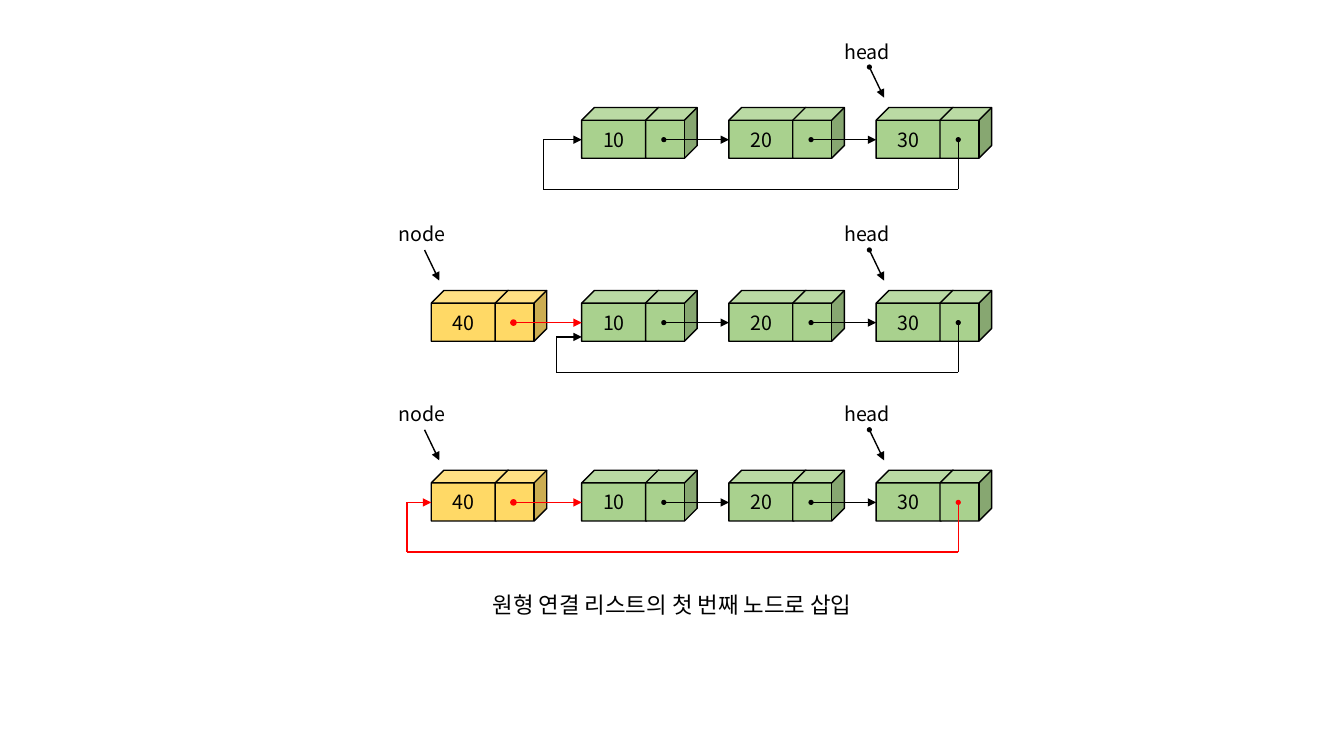
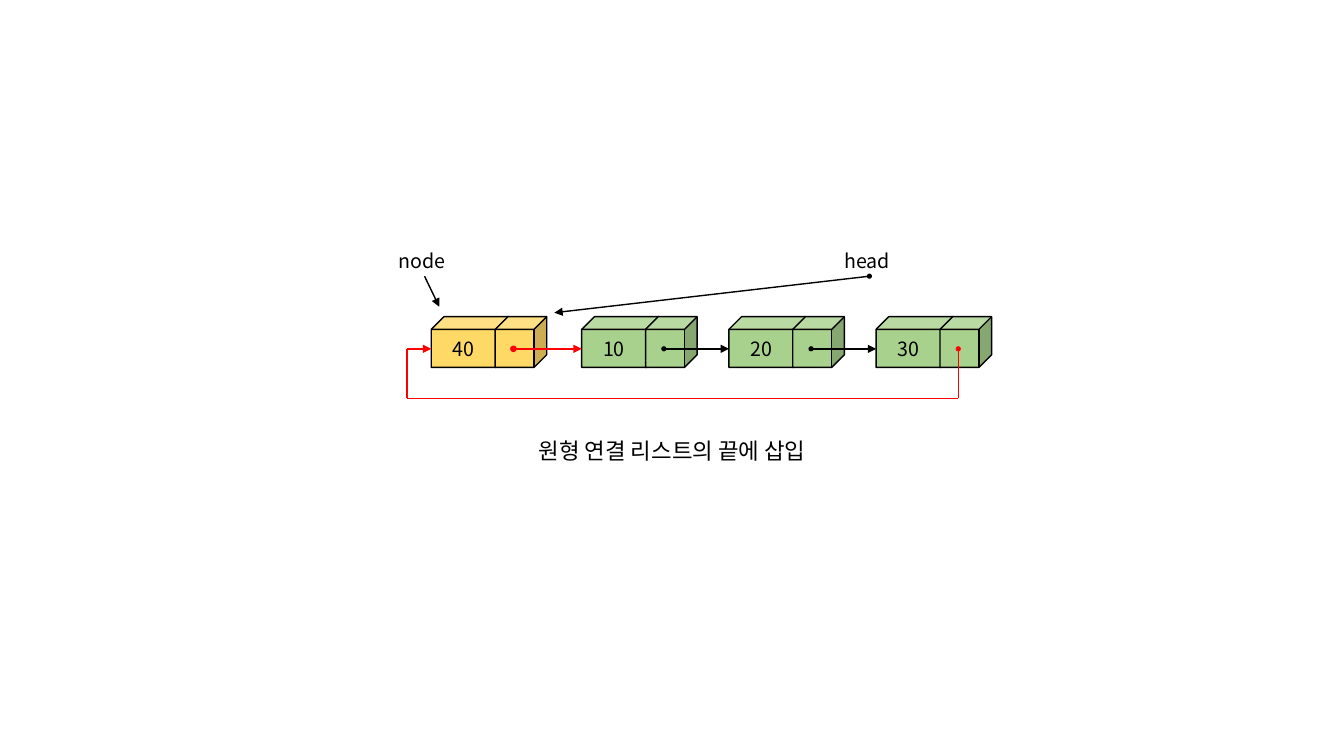
from itertools import pairwise

from lxml.etree import SubElement
from pptx import Presentation
from pptx.dml.color import RGBColor
from pptx.enum.shapes import MSO_CONNECTOR as Link, MSO_SHAPE as Preset
from pptx.enum.text import MSO_ANCHOR as Anchor, MSO_AUTO_SIZE as Fit, PP_ALIGN as Align
from pptx.oxml.ns import qn
from pptx.util import Cm, Pt

BLACK, RED, GREEN, YELLOW = "000000", "FF0000", "A9D18E", "FFD966"
NODE_X = {"40": 10.87, "10": 14.66, "20": 18.37, "30": 22.08}
LAST = "30"
DATA_WIDTH, NEXT_OFFSET, NEXT_WIDTH, NODE_HEIGHT = 1.95, 1.61, 1.3, 1.28
DOT_SIZE, DOT_X, DOT_Y = 0.13, 2.07, 0.81
LOOP_DEPTH, CAPTION_DROP = 2.06, 2.91


def color(hex_code):
    return RGBColor.from_string(hex_code)


def apply(target, values):
    for name, value in values.items():
        setattr(target, name, value)


class ListDiagram:
    font = "Noto Sans CJK KR"
    line_width = Pt(1)
    label_frame = {"word_wrap": True, "auto_size": Fit.SHAPE_TO_FIT_TEXT}
    cube_frame = {"word_wrap": True, "vertical_anchor": Anchor.MIDDLE}

    def __init__(self, deck):
        self.deck = deck
        self.shapes = None

    def new_slide(self):
        self.shapes = self.deck.slides.add_slide(self.deck.slide_layouts[6]).shapes

    def fill_text(self, frame, wording, size, frame_format):
        apply(frame, frame_format)
        paragraph = frame.paragraphs[0]
        paragraph.alignment = Align.CENTER
        run = paragraph.add_run()
        run.text = wording
        apply(run.font, {"name": self.font, "size": Pt(size)})
        run.font.color.rgb = color(BLACK)
        SubElement(run._r.get_or_add_rPr(), qn("a:ea"), typeface=self.font)

    def text(self, x, y, width, height, wording, size):
        box = self.shapes.add_textbox(Cm(x), Cm(y), Cm(width), Cm(height))
        self.fill_text(box.text_frame, wording, size, self.label_frame)

    def preset(self, kind, x, y, width, height, fill, outline=None):
        part = self.shapes.add_shape(kind, Cm(x), Cm(y), Cm(width), Cm(height))
        part.shadow.inherit = False
        part.fill.solid()
        part.fill.fore_color.rgb = color(fill)
        if outline:
            part.line.color.rgb = color(outline)
            part.line.width = self.line_width
        else:
            part.line.fill.background()
        return part

    def dot(self, x, y, fill, outline=None):
        half = DOT_SIZE / 2
        self.preset(Preset.OVAL, x - half, y - half, DOT_SIZE, DOT_SIZE, fill, outline)

    def arrow(self, points, ink=BLACK):
        for start, end in pairwise(points):
            segment = self.shapes.add_connector(
                Link.STRAIGHT, *(Cm(length) for length in (*start, *end)))
            segment.line.color.rgb = color(ink)
            segment.line.width = self.line_width
            SubElement(segment._element.spPr, qn("a:effectLst"))
        outline = segment._element.spPr.find(qn("a:ln"))
        SubElement(outline, qn("a:tailEnd"), type="triangle")

    def node(self, value, top, fill, ink, outline=None):
        x = NODE_X[value]
        data = self.preset(Preset.CUBE, x, top, DATA_WIDTH, NODE_HEIGHT, fill, BLACK)
        self.fill_text(data.text_frame, value, 14, self.cube_frame)
        self.preset(Preset.CUBE, x + NEXT_OFFSET, top, NEXT_WIDTH, NODE_HEIGHT, fill, BLACK)
        self.dot(x + DOT_X, top + DOT_Y, ink, outline)

    def pointer(self, name, value, top, target=None, dotted=False):
        x = NODE_X[value]
        start = (x - 0.17, top - 1.02)
        if dotted:
            self.dot(*start, BLACK)
        self.arrow([start, target or (x + 0.2, top - 0.25)])
        self.text(x - 1.78, top - 1.84, 3.1, 0.86, name, 14)

    def circular_list(self, top, loop_x, loop_to, entry=DOT_Y, loop_ink=BLACK,
                      inserted=True, head_target=None):
        values = list(NODE_X)[0 if inserted else 1:]
        for value in values:
            if value == "40":
                self.node(value, top, YELLOW, RED, RED)
            else:
                self.node(value, top, GREEN, loop_ink if value == LAST else BLACK)
        for value, following in pairwise(values):
            self.arrow([(NODE_X[value] + DOT_X, top + DOT_Y),
                        (NODE_X[following], top + DOT_Y)],
                       RED if value == "40" else BLACK)
        loop_start = NODE_X[LAST] + DOT_X
        self.arrow([(loop_start, top + DOT_Y), (loop_start, top + LOOP_DEPTH),
                    (loop_x, top + LOOP_DEPTH), (loop_x, top + entry),
                    (NODE_X[loop_to], top + entry)], loop_ink)
        self.pointer("head", LAST, top, head_target, dotted=True)
        if inserted:
            self.pointer("node", "40", top)

    def caption(self, last_top, wording):
        self.text(8.66, last_top + CAPTION_DROP, 16.56, 0.94, wording, 16)


def main():
    deck = Presentation()
    apply(deck, {"slide_width": Cm(33.87), "slide_height": Cm(19.05)})
    diagram = ListDiagram(deck)
    closed_loop = {"loop_x": 10.26, "loop_to": "40", "loop_ink": RED}

    diagram.new_slide()
    diagram.circular_list(2.71, 13.69, "10", inserted=False)
    diagram.circular_list(7.32, 14.02, "10", entry=1.17)
    diagram.circular_list(11.85, **closed_loop)
    diagram.caption(11.85, "원형 연결 리스트의 첫 번째 노드로 삽입")

    diagram.new_slide()
    diagram.circular_list(7.98, **closed_loop, head_target=(13.97, 7.88))
    diagram.caption(7.98, "원형 연결 리스트의 끝에 삽입")

    deck.save("out.pptx")


if __name__ == "__main__":
    main()
